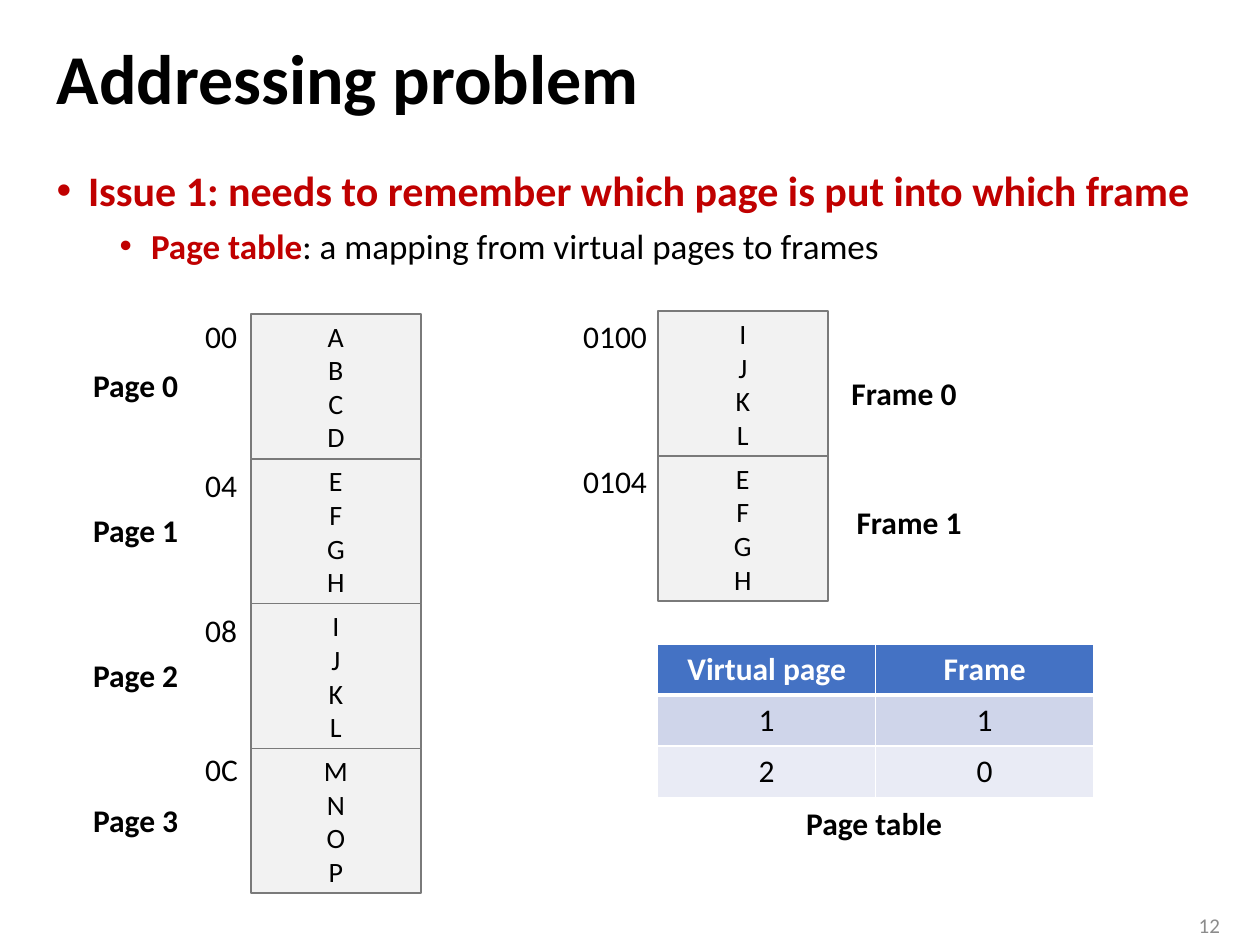
from lxml import etree
from pptx import Presentation
from pptx.dml.color import RGBColor
from pptx.enum.shapes import MSO_SHAPE
from pptx.enum.text import MSO_ANCHOR, PP_ALIGN
from pptx.oxml.ns import qn
from pptx.util import Inches, Pt

RECTANGLE = MSO_SHAPE.RECTANGLE
MIDDLE = MSO_ANCHOR.MIDDLE
LEFT, CENTER, RIGHT = PP_ALIGN.LEFT, PP_ALIGN.CENTER, PP_ALIGN.RIGHT

BLACK = RGBColor(0x00, 0x00, 0x00)
WHITE = RGBColor(0xFF, 0xFF, 0xFF)
RED = RGBColor(0xC0, 0x00, 0x00)
NUMBER_GRAY = RGBColor(0x8C, 0x8C, 0x8C)
BLOCK_FILL = RGBColor(0xF2, 0xF2, 0xF2)
BLOCK_LINE = RGBColor(0x7A, 0x7A, 0x7A)
HEADER_BLUE = RGBColor(0x44, 0x72, 0xC4)
BAND_DARK = RGBColor(0xCF, 0xD5, 0xEA)
BAND_LIGHT = RGBColor(0xE9, 0xEB, 0xF5)

BLOCK_WIDTH, BLOCK_HEIGHT = 1.35, 1.15
LABEL_HEIGHT = 0.4
FRAME_LEFT = 5.22


def write(paragraph, text, size, color=BLACK, bold=False, align=LEFT):
    paragraph.alignment = align
    run = paragraph.add_run()
    run.text = text
    values = {"name": "Calibri", "size": Pt(size), "bold": bold}
    for attribute, value in values.items():
        setattr(run.font, attribute, value)
    run.font.color.rgb = color


def add_label(text, left, top, width, bold=False):
    label = slide.shapes.add_textbox(
        Inches(left), Inches(top), Inches(width), Inches(LABEL_HEIGHT))
    label.text_frame.word_wrap = False
    write(label.text_frame.paragraphs[0], text, 18, bold=bold)


prs = Presentation()
prs.slide_width, prs.slide_height = Inches(10), Inches(7.5)
slide = prs.slides.add_slide(prs.slide_layouts[5])

title = slide.shapes.title
placement = {"left": 0.35, "top": 0.19, "width": 9.29, "height": 0.92}
for attribute, value in placement.items():
    setattr(title, attribute, Inches(value))
title.text_frame.vertical_anchor = MIDDLE
heading = title.text_frame.paragraphs[0]
heading.line_spacing = 0.9
write(heading, "Addressing problem", 40, bold=True)

issues = slide.shapes.add_textbox(Inches(0.35), Inches(1.26), Inches(9.29), Inches(1))
issues.text_frame.word_wrap = True
issue = issues.text_frame.paragraphs[0]
write(issue, "Issue 1: needs to remember which page is put into which frame", 24, RED, True)
solution = issues.text_frame.add_paragraph()
solution.level = 1
write(solution, "Page table", 20, RED, True)
write(solution, ": a mapping from virtual pages to frames", 20)
for bullet_line, indent, space in ((issue, 0.25, 10), (solution, 0.75, 5)):
    bullet_line.space_before = Pt(space)
    properties = bullet_line._p.get_or_add_pPr()
    properties.set("marL", str(Inches(indent)))
    properties.set("indent", str(Inches(-0.25)))
    etree.SubElement(properties, qn("a:buFont")).set("typeface", "Arial")
    etree.SubElement(properties, qn("a:buChar")).set("char", "•")

blocks = [(1.99, 2.49 + BLOCK_HEIGHT * i, letters)
          for i, letters in enumerate(("ABCD", "EFGH", "IJKL", "MNOP"))]
blocks += [(FRAME_LEFT, 2.47 + BLOCK_HEIGHT * i, letters)
           for i, letters in enumerate(("IJKL", "EFGH"))]
for left, top, letters in blocks:
    block = slide.shapes.add_shape(
        RECTANGLE, Inches(left), Inches(top), Inches(BLOCK_WIDTH), Inches(BLOCK_HEIGHT))
    block.shadow.inherit = False
    block.fill.solid()
    block.fill.fore_color.rgb = BLOCK_FILL
    block.line.color.rgb = BLOCK_LINE
    block.line.width = Pt(1)
    content = block.text_frame
    content.vertical_anchor = MIDDLE
    for i, letter in enumerate(letters):
        paragraph = content.add_paragraph() if i else content.paragraphs[0]
        write(paragraph, letter, 16, align=CENTER)

for page, (address, top) in enumerate(
        (("00", 2.47), ("04", 3.65), ("08", 4.8), ("0C", 5.9))):
    add_label(f"Page {page}", 0.64, 2.86 + BLOCK_HEIGHT * page, 0.89, True)
    add_label(address, 1.53, top, 0.46)

for frame, (address, left, top) in enumerate(
        (("0100", 6.66, 2.92), ("0104", 6.7, 3.94))):
    add_label(f"Frame {frame}", left, top, 1.04, True)
    add_label(address, 4.53, 2.47 + BLOCK_HEIGHT * frame, 0.71)

mappings = (("Virtual page", "Frame"), ("1", "1"), ("2", "0"))
row_fills = (HEADER_BLUE, BAND_DARK, BAND_LIGHT)
page_table = slide.shapes.add_table(
    3, 2, Inches(FRAME_LEFT), Inches(5.11), Inches(3.46), Inches(1.22)).table
for row, (mapping, row_fill) in enumerate(zip(mappings, row_fills)):
    is_header = row == 0
    for column, text in enumerate(mapping):
        cell = page_table.cell(row, column)
        cell.vertical_anchor = MIDDLE
        write(cell.text_frame.paragraphs[0], text, 18,
              WHITE if is_header else BLACK, is_header, CENTER)
        cell_properties = cell._tc.get_or_add_tcPr()
        borders = {"a:lnL": 1, "a:lnR": 1, "a:lnT": 3 if row == 1 else 1,
                   "a:lnB": 3 if is_header else 1}
        for side, width in borders.items():
            border = etree.SubElement(cell_properties, qn(side), w=str(Pt(width)))
            border_fill = etree.SubElement(border, qn("a:solidFill"))
            etree.SubElement(border_fill, qn("a:srgbClr"), val=str(WHITE))
        cell.fill.solid()
        cell.fill.fore_color.rgb = row_fill

add_label("Page table", 6.3, 6.33, 1.29, True)

slide_number = slide.shapes.add_textbox(
    Inches(9.27), Inches(7.19), Inches(0.51), Inches(0.31))
slide_number.text_frame.word_wrap = True
slide_number.text_frame.vertical_anchor = MIDDLE
write(slide_number.text_frame.paragraphs[0], "12", 12, NUMBER_GRAY, align=RIGHT)

prs.save("out.pptx")
